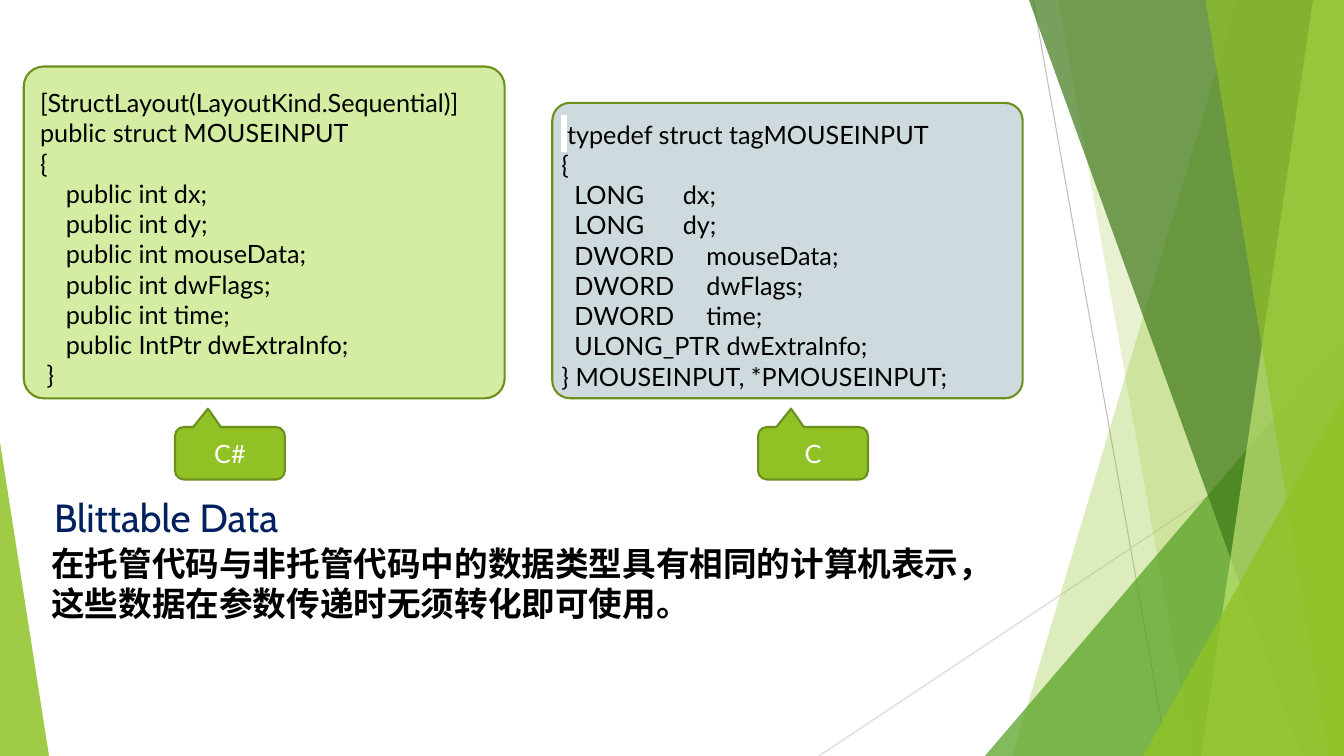
from dataclasses import dataclass

from lxml.etree import SubElement
from pptx import Presentation
from pptx.dml.color import RGBColor
from pptx.enum.shapes import MSO_CONNECTOR, MSO_SHAPE as Shape
from pptx.enum.text import MSO_ANCHOR as Anchor, PP_ALIGN as Align
from pptx.oxml.ns import qn
from pptx.util import Pt

WIDTH, HEIGHT = 960, 540
GREEN, OUTLINE, BLACK, WHITE = "90C226", "6B901C", "000000", "FFFFFF"


@dataclass
class Box:
    left: float
    top: float
    width: float
    height: float

    def emu(self) -> tuple:
        return Pt(self.left), Pt(self.top), Pt(self.width), Pt(self.height)


@dataclass
class Ray:
    start: tuple
    end: tuple
    color: str


@dataclass
class Band:
    """A facet reaching from a slanted left edge to the slide's right edge."""
    top_x: float
    bottom_x: float
    color: str
    opacity: int


@dataclass
class Wedge:
    box: Box
    apex: float
    color: str
    opacity: int


@dataclass
class Run:
    text: str
    size: float = 18
    font: str = "Lato"
    color: str = BLACK
    bold: bool = False
    highlight: str = ""


@dataclass
class Panel:
    box: Box
    fill: str


@dataclass
class Callout:
    box: Box
    label: str


@dataclass
class TextBlock:
    box: Box
    paragraphs: list


RAYS = [Ray((738, 0), (834, 540), "BFBFBF"), Ray((960, 290), (585, 540), "D9D9D9")]

FACETS = [
    Band(884, 723, GREEN, 30),
    Band(756, 852, GREEN, 20),
    Wedge(Box(703.5, 240, 256.5, 300), 1, "54A021", 72),
    Band(735, 929.5, "3F7819", 70),
    Band(938, 858, "C0E474", 70),
    Band(861, 949, GREEN, 65),
    Wedge(Box(816.5, 283, 143.5, 257), 1, GREEN, 80),
    Wedge(Box(0, 316, 35, 224), 0, GREEN, 85),
]

PANELS = [
    Panel(Box(394.5, 73.5, 336, 211), "CFDADF"),
    Panel(Box(17, 47.5, 343.5, 237), "D5EDA2"),
]

CALLOUTS = [
    Callout(Box(125, 305, 78.5, 37.5), "C#"),
    Callout(Box(541.5, 305, 78.5, 37.5), "C"),
]

CSHARP_CODE = """\
 [StructLayout(LayoutKind.Sequential)]
 public struct MOUSEINPUT
 {
     public int dx;
     public int dy;
     public int mouseData;
     public int dwFlags;
     public int time;
     public IntPtr dwExtraInfo;
  }"""

C_CODE = """\
typedef struct tagMOUSEINPUT
{
  LONG      dx;
  LONG      dy;
  DWORD     mouseData;
  DWORD     dwFlags;
  DWORD     time;
  ULONG_PTR dwExtraInfo;
} MOUSEINPUT, *PMOUSEINPUT;"""

EXPLANATION = [
    "在托管代码与非托管代码中的数据类型具有相同的计算机表示，",
    "这些数据在参数传递时无须转化即可使用。",
]


def code_lines(code: str) -> list:
    return [[Run(line)] for line in code.split("\n")]


c_lines = code_lines(C_CODE)
c_lines[0].insert(0, Run(" ", font="Noto Sans CJK SC", highlight=WHITE))

TEXTS = [
    TextBlock(Box(17, 59, 343.5, 225.5), code_lines(CSHARP_CODE)),
    TextBlock(Box(394, 81.5, 337, 204), c_lines),
    TextBlock(Box(31.5, 349, 187, 41), [[Run("Blittable Data", 28, "Cabin", "002060")]]),
    TextBlock(Box(29.5, 384, 693.5, 65.5),
              [[Run(line, 24, "Cabin", bold=True)] for line in EXPLANATION]),
]


def rgb(color: str) -> RGBColor:
    return RGBColor.from_string(color)


def paint(sp, fill: str, line: str = "", opacity: int = 100) -> None:
    sp.shadow.inherit = False
    sp.fill.solid()
    sp.fill.fore_color.rgb = rgb(fill)
    if opacity < 100:
        color = sp._element.spPr.find(qn("a:solidFill"))[0]
        SubElement(color, qn("a:alpha"), val=str(opacity * 1000))
    if line:
        sp.line.color.rgb = rgb(line)
        sp.line.width = Pt(1.5)
    else:
        sp.line.fill.background()


def add_run(p, run: Run) -> None:
    r = p.add_run()
    r.text = run.text
    r.font.size = Pt(run.size)
    r.font.bold = run.bold
    r.font.color.rgb = rgb(run.color)
    if run.highlight:
        mark = SubElement(r.font._element, qn("a:highlight"))
        SubElement(mark, qn("a:srgbClr"), val=run.highlight)
    r.font.name = run.font
    SubElement(r.font._element, qn("a:ea"), typeface=run.font)


def draw_ray(shapes, ray: Ray) -> None:
    line = shapes.add_connector(MSO_CONNECTOR.STRAIGHT, *map(Pt, ray.start + ray.end))
    line.line.color.rgb = rgb(ray.color)
    line.line.width = Pt(0.75)
    SubElement(line._element.spPr, qn("a:effectLst"))


def draw_facet(shapes, facet: Band | Wedge) -> None:
    if isinstance(facet, Band):
        outline = shapes.build_freeform(facet.top_x, 0, scale=Pt(1))
        outline.add_line_segments([(WIDTH, 0), (WIDTH, HEIGHT), (facet.bottom_x, HEIGHT)])
        sp = outline.convert_to_shape()
    else:
        sp = shapes.add_shape(Shape.ISOSCELES_TRIANGLE, *facet.box.emu())
        sp.adjustments[0] = facet.apex
    paint(sp, facet.color, opacity=facet.opacity)


def draw_panel(shapes, panel: Panel) -> None:
    sp = shapes.add_shape(Shape.ROUNDED_RECTANGLE, *panel.box.emu())
    sp.adjustments[0] = 0.06
    paint(sp, panel.fill, OUTLINE)


def draw_text(shapes, block: TextBlock) -> None:
    tf = shapes.add_textbox(*block.box.emu()).text_frame
    tf.word_wrap = True
    for i, runs in enumerate(block.paragraphs):
        p = tf.add_paragraph() if i else tf.paragraphs[0]
        for run in runs:
            add_run(p, run)


def draw_callout(shapes, callout: Callout) -> None:
    sp = shapes.add_shape(Shape.ROUNDED_RECTANGULAR_CALLOUT, *callout.box.emu())
    for i, value in enumerate((-0.2, -0.85, 0.17)):
        sp.adjustments[i] = value
    paint(sp, GREEN, OUTLINE)
    sp.text_frame.vertical_anchor = Anchor.MIDDLE
    p = sp.text_frame.paragraphs[0]
    p.alignment = Align.CENTER
    add_run(p, Run(callout.label, color=WHITE))


def main() -> None:
    prs = Presentation()
    prs.slide_width, prs.slide_height = Pt(WIDTH), Pt(HEIGHT)
    shapes = prs.slides.add_slide(prs.slide_layouts[6]).shapes
    for draw, items in ((draw_ray, RAYS), (draw_facet, FACETS), (draw_panel, PANELS),
                        (draw_text, TEXTS), (draw_callout, CALLOUTS)):
        for item in items:
            draw(shapes, item)
    prs.save("out.pptx")


if __name__ == "__main__":
    main()
